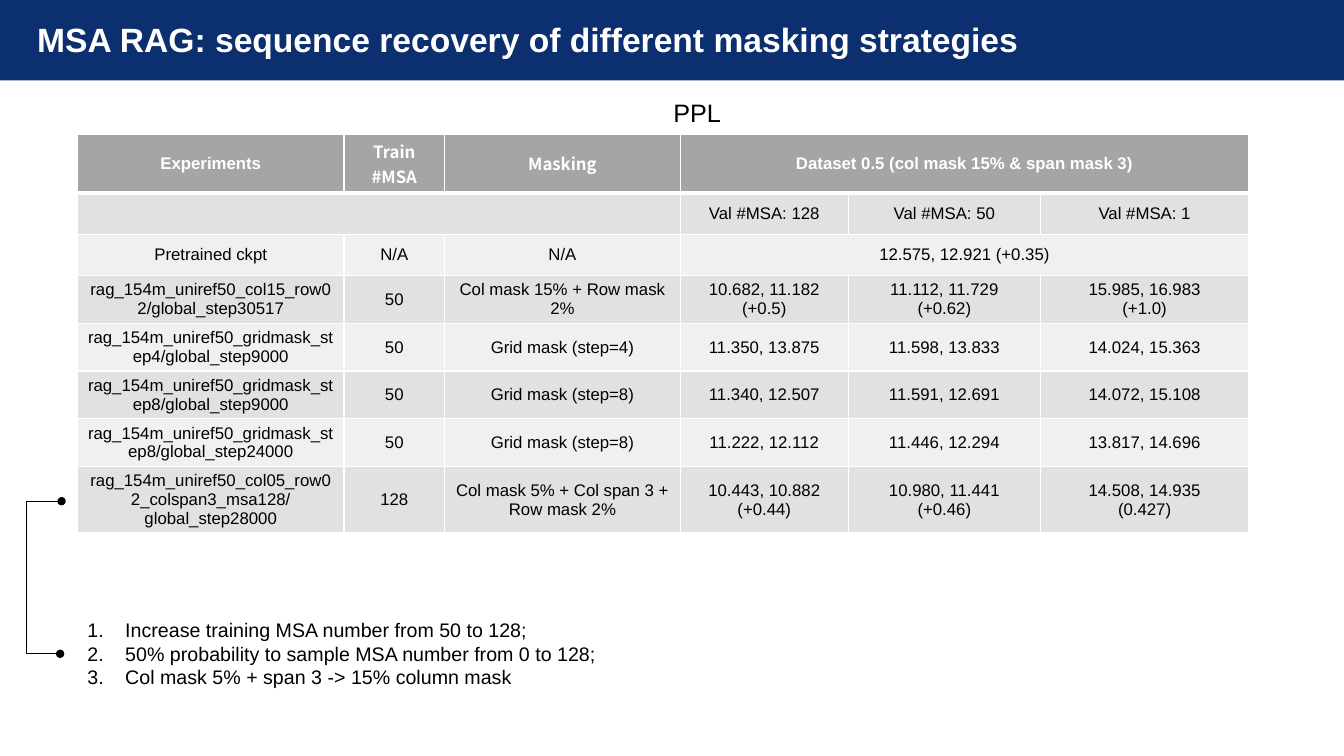
from lxml.etree import SubElement
from pptx import Presentation
from pptx.dml.color import RGBColor
from pptx.enum.shapes import MSO_SHAPE
from pptx.enum.text import MSO_ANCHOR as Anchor, MSO_AUTO_SIZE as Auto, PP_ALIGN as Align
from pptx.oxml.ns import qn
from pptx.util import Pt

SANS, CJK = "Arial", "Noto Sans CJK SC"
NAVY, GREY, DARK, LIGHT = "0C2F6F", "A5A5A5", "E1E1E1", "F0F0F0"
WHITE, BLACK = "FFFFFF", "000000"

TITLE = "MSA RAG: sequence recovery of different masking strategies"
# None joins a cell to the one on its left; a newline starts a paragraph.
ROWS = [
    ["Experiments", "Train #MSA", "Masking",
     "Dataset 0.5 (col mask 15% & span mask 3)", None, None],
    ["", None, None, "Val #MSA: 128", "Val #MSA: 50", "Val #MSA: 1"],
    ["Pretrained ckpt", "N/A", "N/A", "12.575, 12.921 (+0.35)", None, None],
    ["rag_154m_uniref50_col15_row02/global_step30517", "50",
     "Col mask 15% + Row mask 2%", "10.682, 11.182 (+0.5)",
     "11.112, 11.729\n(+0.62)", "15.985, 16.983\n(+1.0)"],
    ["rag_154m_uniref50_gridmask_step4/global_step9000", "50",
     "Grid mask (step=4)", "11.350, 13.875", "11.598, 13.833", "14.024, 15.363"],
    ["rag_154m_uniref50_gridmask_step8/global_step9000", "50",
     "Grid mask (step=8)", "11.340, 12.507", "11.591, 12.691", "14.072, 15.108"],
    ["rag_154m_uniref50_gridmask_step8/global_step24000", "50",
     "Grid mask (step=8)", "11.222, 12.112", "11.446, 12.294", "13.817, 14.696"],
    ["rag_154m_uniref50_col05_row02_colspan3_msa128/global_step28000", "128",
     "Col mask 5% + Col span 3 + Row mask 2%", "10.443, 10.882\n(+0.44)",
     "10.980, 11.441\n(+0.46)", "14.508, 14.935\n(0.427)"],
]
WIDTHS = [190.4, 71.8, 168.5, 119.8, 137.5, 148.6]
ROW_H = 29.5
NOTES = [
    "Increase training MSA number from 50 to 128;",
    "50% probability to sample MSA number from 0 to 128;",
    "Col mask 5% + span 3 -> 15% column mask",
]
BRACKET = [(43.9, 357.8), (19.4, 357.8), (19.4, 467.3), (43.2, 467.3)]


def color(code):
    return RGBColor.from_string(code)


def write(par, text, size, ink=BLACK, bold=False, face=SANS):
    run = par.add_run()
    run.text = text
    font = run.font
    font.name, font.size, font.bold = face, Pt(size), bold
    font.color.rgb = color(ink)


def place(shape, *box):
    shape.left, shape.top, shape.width, shape.height = map(Pt, box)


def add_text(slide, box, wrap):
    frame = slide.shapes.add_textbox(*map(Pt, box)).text_frame
    frame.word_wrap = wrap
    return frame


def edge(cell, side, width):
    line = SubElement(cell._tc.get_or_add_tcPr(), qn("a:ln" + side), w=str(Pt(width)))
    fill = SubElement(line, qn("a:solidFill"))
    SubElement(fill, qn("a:srgbClr"), val=WHITE)


def fill_cell(cell, text, row, col):
    head = row == 0
    for side in "LRTB":
        thick = (row, side) in [(0, "B"), (1, "T")]
        edge(cell, side, 3 if thick else 1)
    cell.fill.solid()
    cell.fill.fore_color.rgb = color(GREY if head else DARK if row % 2 else LIGHT)
    cell.vertical_anchor = Anchor.MIDDLE
    if not text:
        return
    frame = cell.text_frame
    for i, part in enumerate(text.split("\n")):
        par = frame.add_paragraph() if i else frame.paragraphs[0]
        par.alignment = Align.CENTER
        face = CJK if head and col in (1, 2) else SANS
        write(par, part, 12, WHITE if head else BLACK, head, face)


def add_results(slide):
    table = slide.shapes.add_table(
        len(ROWS), len(WIDTHS), Pt(55.4), Pt(95.8),
        Pt(sum(WIDTHS)), Pt(ROW_H * len(ROWS))).table
    for col, width in zip(table.columns, WIDTHS):
        col.width = Pt(width)
    for r, texts in enumerate(ROWS):
        table.rows[r].height = Pt(ROW_H)
        for c, text in enumerate(texts):
            fill_cell(table.cell(r, c), text, r, c)
        starts = [c for c, text in enumerate(texts) if text is not None]
        for start, end in zip(starts, starts[1:] + [len(texts)]):
            if end - start > 1:
                table.cell(r, start).merge(table.cell(r, end - 1))


def add_title(slide):
    title = slide.shapes.title
    place(title, 19.4, 10.1, 725, 36)
    frame = title.text_frame
    frame.auto_size, frame.word_wrap = Auto.NONE, False
    frame.vertical_anchor = Anchor.MIDDLE
    par = frame.paragraphs[0]
    par.alignment = Align.LEFT
    write(par, TITLE, 24, WHITE, True)
    bar = slide.shapes.add_shape(MSO_SHAPE.RECTANGLE, 0, 0, Pt(960), Pt(57.4))
    bar.shadow.inherit = False
    bar.fill.solid()
    bar.fill.fore_color.rgb = color(NAVY)
    bar.line.fill.background()
    title.element.addprevious(bar.element)


def add_bracket(slide):
    pen = slide.shapes.build_freeform(*BRACKET[0], scale=Pt(1))
    pen.add_line_segments(BRACKET[1:], close=False)
    shape = pen.convert_to_shape()
    shape.shadow.inherit = False
    shape.fill.background()
    shape.line.color.rgb = color(BLACK)
    shape.line.width = Pt(0.5)
    line = shape.line._get_or_add_ln()
    for end in ("a:headEnd", "a:tailEnd"):
        SubElement(line, qn(end), type="oval")


def add_notes(slide):
    frame = add_text(slide, (55.4, 437.8, 388, 58.2), True)
    for i, note in enumerate(NOTES):
        par = frame.add_paragraph() if i else frame.paragraphs[0]
        props = par._p.get_or_add_pPr()
        props.set("marL", str(Pt(27)))
        props.set("indent", str(Pt(-27)))
        SubElement(props, qn("a:buFont"), typeface="+mj-lt")
        SubElement(props, qn("a:buAutoNum"), type="arabicPeriod")
        write(par, note, 14)


def main():
    deck = Presentation()
    deck.slide_width, deck.slide_height = Pt(960), Pt(540)
    slide = deck.slides.add_slide(deck.slide_layouts[5])
    add_title(slide)
    add_results(slide)
    label = add_text(slide, (473.8, 66.2, 49, 28.8), False)
    write(label.paragraphs[0], "PPL", 18)
    add_bracket(slide)
    add_notes(slide)
    deck.save("out.pptx")


if __name__ == "__main__":
    main()
